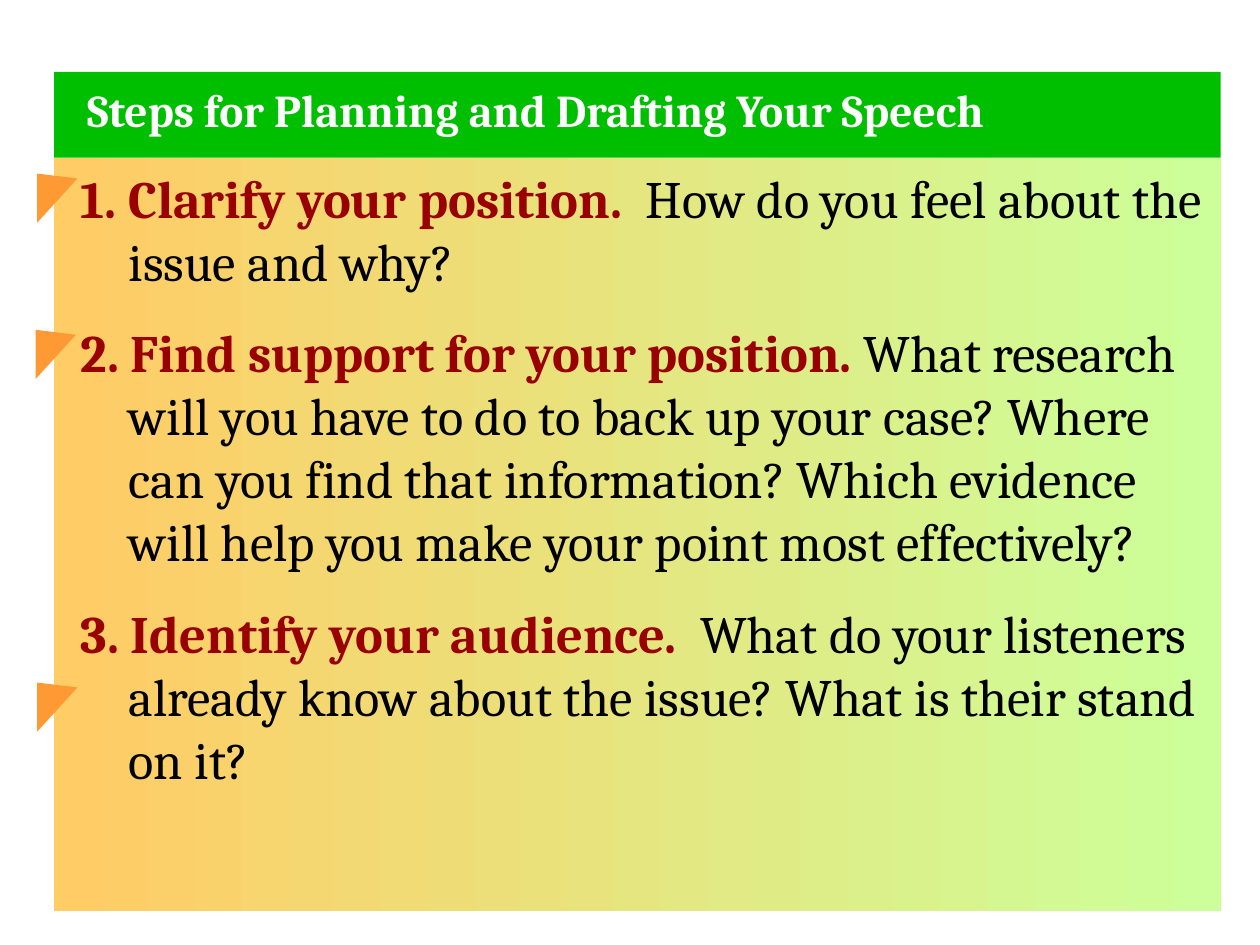
from dataclasses import dataclass

from pptx import Presentation, util as u
from pptx.dml.color import RGBColor
from pptx.enum import shapes, text
from pptx.oxml.xmlchemy import OxmlElement


@dataclass(frozen=True)
class Theme:
    font: str = "Cambria"
    title_size: int = 26
    body_size: int = 30
    step_gap: float = 16.5
    white: str = "FFFFFF"
    green: str = "00BE00"
    peach: str = "FFCC66"
    lime: str = "CCFF99"
    red: str = "990000"
    black: str = "000000"
    orange: str = "FF9933"


THEME = Theme()
INDENT = 0.97
TITLE = "Steps for Planning and Drafting Your Speech"
STEPS = [
    ("1. Clarify your position.", "  How do you feel about the issue and why?"),
    ("2. Find support for your position.",
     " What research will you have to do to back up your case? "
     "Where can you find that information? "
     "Which evidence will help you make your point most effectively?"),
    ("3. Identify your audience.  ",
     "What do your listeners already know about the issue? "
     "What is their stand on it?"),
]
# Marker offsets from the panel's corner
MARKERS = [(-0.43, 0.41), (-0.46, 3.56), (-0.43, 10.67)]


def apply(target, values):
    for name, value in values.items():
        setattr(target, name, value)


def place(box, left, top, width, height):
    apply(box, dict(left=u.Cm(left), top=u.Cm(top),
                    width=u.Cm(width), height=u.Cm(height)))


def add_plain_shape(page, kind, area, color=None):
    box = page.shapes.add_shape(kind, *map(u.Cm, area))
    box.shadow.inherit = False
    box.line.fill.background()
    if color:
        box.fill.solid()
        box.fill.fore_color.rgb = RGBColor.from_string(color)
    return box


def format_frame(box):
    apply(box.text_frame, dict(
        word_wrap=True, vertical_anchor=text.MSO_ANCHOR.TOP,
        auto_size=text.MSO_AUTO_SIZE.SHAPE_TO_FIT_TEXT,
        margin_left=u.Inches(0.1), margin_right=u.Inches(0.1),
        margin_top=u.Inches(0.05), margin_bottom=u.Inches(0.05)))


def add_span(para, words, size, color, bold):
    span = para.add_run()
    span.text = words
    apply(span.font, dict(name=THEME.font, size=u.Pt(size), bold=bold))
    span.font.color.rgb = RGBColor.from_string(color)


def build_heading(page, left, top, width, height):
    # Green band behind the title
    band = add_plain_shape(page, shapes.MSO_SHAPE.RECTANGLE,
                           (left, top, width, height), THEME.green)
    title = page.shapes.title
    title.element.addprevious(band.element)
    place(title, left + 0.41, top + 0.08, 20.14, 1.35)
    format_frame(title)
    para = title.text_frame.paragraphs[0]
    para.alignment = text.PP_ALIGN.LEFT
    add_span(para, TITLE, THEME.title_size, THEME.white, True)


def build_steps(page, left, top, width, height):
    # Gradient panel behind the list
    panel = add_plain_shape(page, shapes.MSO_SHAPE.RECTANGLE,
                            (left, top, width, height))
    panel.fill.gradient()
    panel.fill.gradient_angle = 0
    for stop, color in zip(panel.fill.gradient_stops, (THEME.peach, THEME.lime)):
        stop.color.rgb = RGBColor.from_string(color)

    # Numbered steps with a hanging indent
    body = page.placeholders[1]
    body.element.addprevious(panel.element)
    place(body, left + 0.28, top + 0.03, 23.14, 14.35)
    format_frame(body)
    frame = body.text_frame
    for index, (lead, detail) in enumerate(STEPS):
        para = frame.add_paragraph() if index else frame.paragraphs[0]
        apply(para, dict(alignment=text.PP_ALIGN.LEFT,
                         space_before=u.Pt(THEME.step_gap if index else 0)))
        props = para._p.get_or_add_pPr()
        props.set("marL", str(u.Cm(INDENT)))
        props.set("indent", str(-u.Cm(INDENT)))
        props.append(OxmlElement("a:buNone"))
        add_span(para, lead, THEME.body_size, THEME.red, True)
        add_span(para, detail, THEME.body_size, THEME.black, False)

    # Triangular step markers
    for across, down in MARKERS:
        marker = add_plain_shape(page, shapes.MSO_SHAPE.ISOSCELES_TRIANGLE,
                                 (left + across, top + down, 0.99, 0.81),
                                 THEME.orange)
        marker.rotation = 90
        marker.adjustments[0] = 0.1


def main():
    deck = Presentation()
    apply(deck, dict(slide_width=u.Cm(25.4), slide_height=u.Cm(19.05)))
    page = deck.slides.add_slide(deck.slide_layouts[1])
    left, top, width, heading_height = 1.09, 1.45, 23.52, 1.73
    build_heading(page, left, top, width, heading_height)
    build_steps(page, left, top + heading_height, width, 15.19)
    deck.save("out.pptx")


if __name__ == "__main__":
    main()
